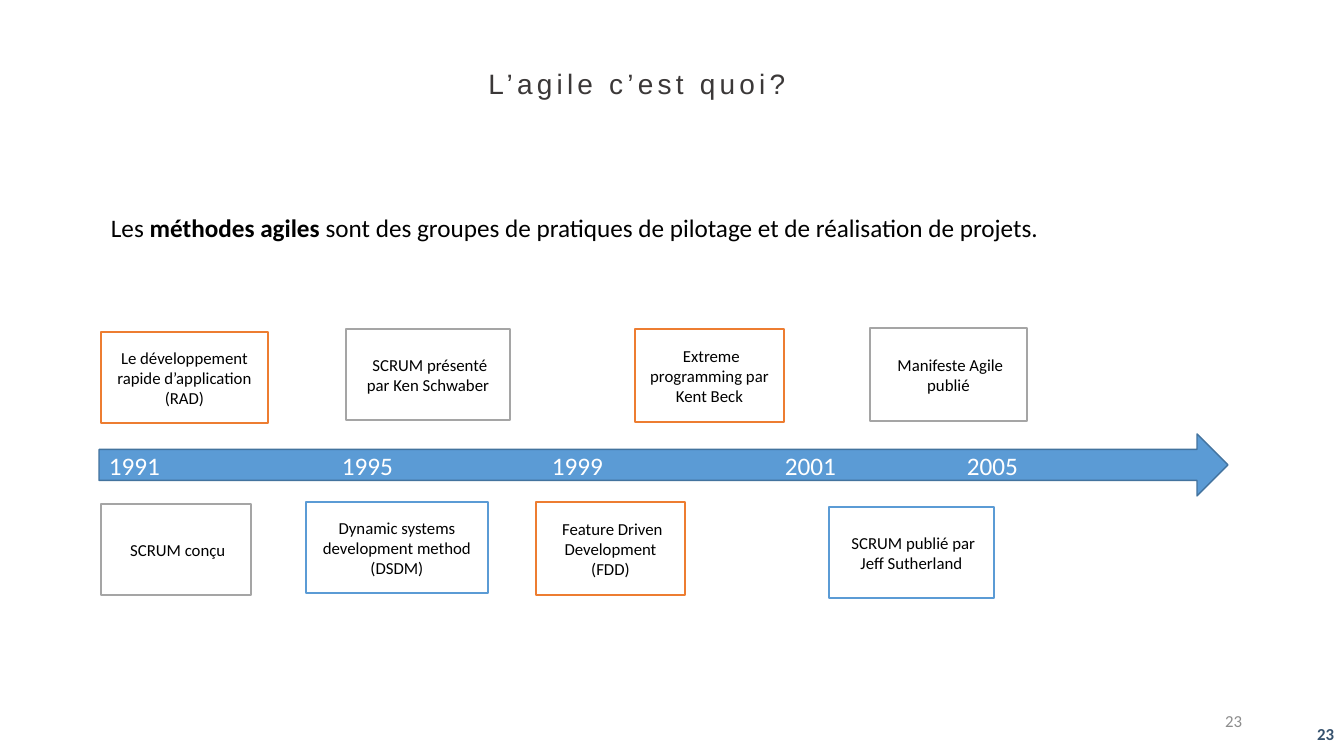
import pptx
import pptx.util
import pptx.dml.color
import pptx.enum.shapes
import pptx.enum.text
import pptx.oxml.ns
import lxml.etree

EMU_PER_PX = 914400 / 100.8
COLOURS = {
    "white": "FFFFFF",
    "black": "000000",
    "title": "3B3838",
    "blue": "5B9BD5",
    "dark_blue": "43739E",
    "orange": "ED7D31",
    "grey": "A5A5A5",
    "number": "8C8C8C",
    "corner": "36526E",
}
SHAPES = pptx.enum.shapes.MSO_SHAPE
ALIGN = pptx.enum.text.PP_ALIGN
MIDDLE = pptx.enum.text.MSO_ANCHOR.MIDDLE
TOP = pptx.enum.text.MSO_ANCHOR.TOP

YEARS = ["1991", "1995", "1999", "2001", "2005"]
YEAR_STOPS = [233, 443, 676, 858]
EVENTS = [
    ("Le développement rapide d’application (RAD)", "orange", (101, 332, 167, 91)),
    (" SCRUM présenté par Ken Schwaber", "grey", (346, 329, 164, 91)),
    (" Extreme programming par Kent Beck", "orange", (635, 329, 149, 93)),
    (" Manifeste Agile publié", "grey", (870, 328, 157, 93)),
    (" SCRUM conçu", "grey", (101, 504, 150, 91)),
    ("Dynamic systems development method (DSDM)", "blue", (306, 502, 182, 91)),
    (" Feature Driven Development (FDD)", "orange", (536, 502, 149, 93)),
    (" SCRUM publié par Jeff Sutherland", "blue", (829, 507, 165, 91)),
]


def px(length):
    return pptx.util.Emu(round(length * EMU_PER_PX))


def colour(name):
    return pptx.dml.color.RGBColor.from_string(COLOURS[name])


def set_values(target, values):
    for name, value in values.items():
        setattr(target, name, value)


def write_text(box, spans, size, ink, align, anchor, font="Calibri"):
    set_values(box.text_frame, {"word_wrap": True, "vertical_anchor": anchor})
    para = box.text_frame.paragraphs[0]
    para.alignment = align
    for words, bold in spans:
        span = para.add_run()
        span.text = words
        set_values(span.font, {"name": font, "size": pptx.util.Pt(size), "bold": bold})
        span.font.color.rgb = colour(ink)
    return para


def add_text(page, area, spans, size, ink, align, anchor, font="Calibri"):
    box = page.shapes.add_textbox(*map(px, area))
    return write_text(box, spans, size, ink, align, anchor, font)


def add_block(page, kind, area, fill, outline):
    block = page.shapes.add_shape(kind, *map(px, area))
    block.shadow.inherit = False
    block.fill.solid()
    block.fill.fore_color.rgb = colour(fill)
    block.line.color.rgb = colour(outline)
    block.line.width = pptx.util.Pt(1)
    return block


def add_event(page, words, outline, area):
    block = add_block(page, SHAPES.RECTANGLE, area, "white", outline)
    write_text(block, [(words, False)], 12, "black", ALIGN.CENTER, MIDDLE)


def add_timeline(page, area):
    arrow = add_block(page, SHAPES.RIGHT_ARROW, area, "blue", "dark_blue")
    para = arrow.text_frame.paragraphs[0]
    qualify = pptx.oxml.ns.qn
    properties = para._p.get_or_add_pPr()
    stops = lxml.etree.SubElement(properties, qualify("a:tabLst"))
    for stop in YEAR_STOPS:
        lxml.etree.SubElement(stops, qualify("a:tab"), pos=str(px(stop)), algn="l")
    write_text(arrow, [("\t".join(YEARS), False)], 18, "white", ALIGN.LEFT, MIDDLE)


def add_title(page, words, area):
    para = add_text(page, area, [(words, False)], 20, "title", ALIGN.CENTER, TOP, "Arial")
    para.line_spacing = 0.9
    para.runs[0].font._element.set("spc", "300")


def main():
    deck = pptx.Presentation()
    set_values(deck, {"slide_width": px(1344), "slide_height": px(756)})
    page = deck.slides.add_slide(deck.slide_layouts[6])

    add_title(page, "L’agile c’est quoi?", (167, 65, 940, 42))
    definition = [
        ("Les ", False),
        ("méthodes agiles", True),
        (" sont des groupes de pratiques de pilotage et de réalisation de projets.", False),
    ]
    add_text(page, (101, 207, 1076, 40), definition, 18, "black", ALIGN.LEFT, TOP)
    add_timeline(page, (99, 434, 1129, 62))
    for event in EVENTS:
        add_event(page, *event)
    add_text(page, (950, 701, 302, 40), [("23", False)], 12, "number", ALIGN.RIGHT, MIDDLE)
    add_text(page, (1286, 711, 58, 45), [("23", True)], 12, "corner", ALIGN.RIGHT, MIDDLE)

    deck.save("out.pptx")


if __name__ == "__main__":
    main()
